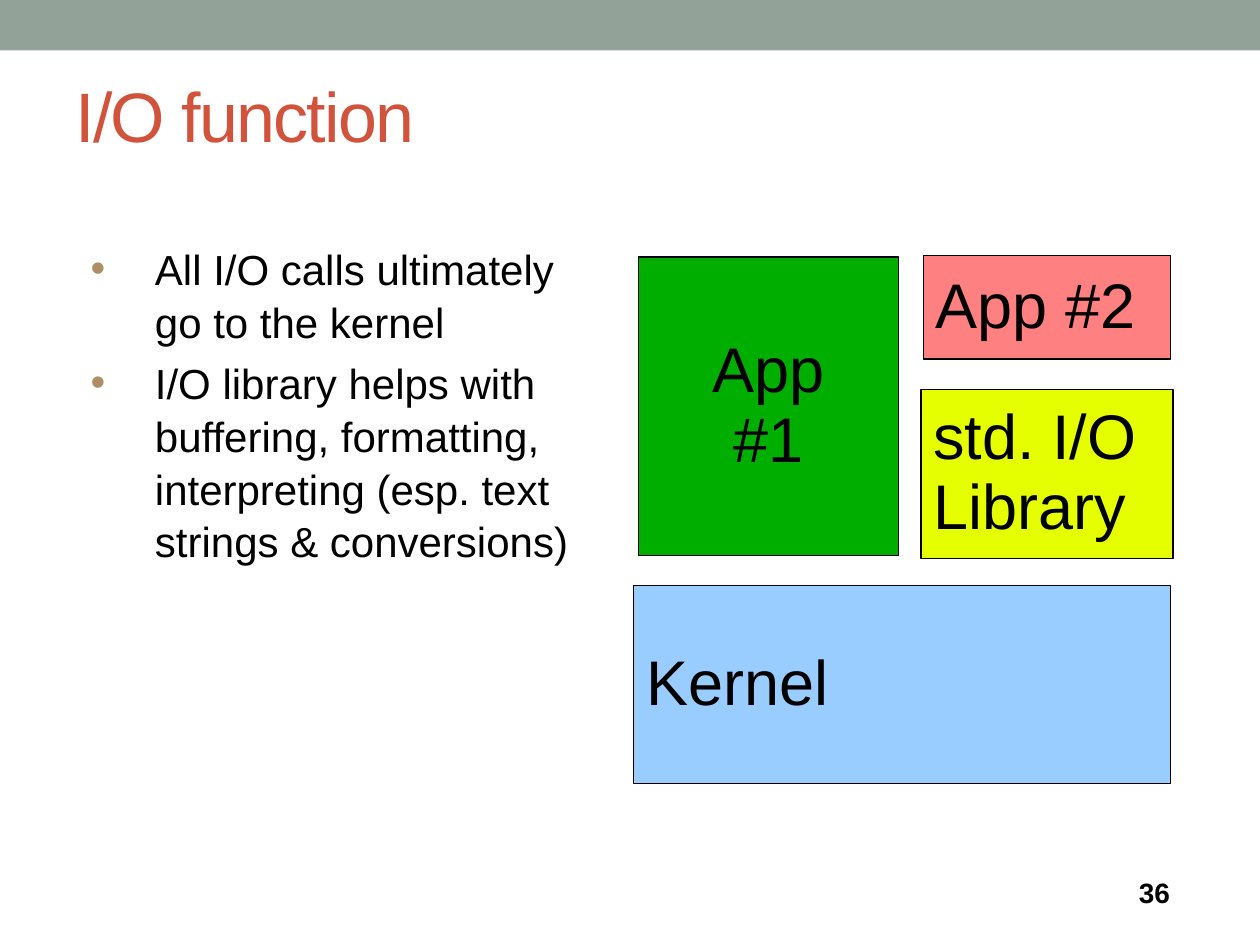
import pptx
import pptx.dml.color
import pptx.enum.shapes
import pptx.enum.text
import pptx.oxml
import pptx.oxml.ns
import pptx.util
from pptx.util import Inches

ALIGN = pptx.enum.text.PP_ALIGN
ANCHOR = pptx.enum.text.MSO_ANCHOR
SHAPE = pptx.enum.shapes.MSO_SHAPE


def tint(color, code):
    color.rgb = pptx.dml.color.RGBColor.from_string(code)


def place(shape, *area):
    shape.left, shape.top, shape.width, shape.height = map(Inches, area)


def mark(para, code, indent):
    props = para._p.get_or_add_pPr()
    props.set("marL", str(Inches(indent)))
    props.set("indent", str(-Inches(indent)))
    space = pptx.oxml.ns.nsdecls("a")
    for xml in (
        f'<a:buClr {space}><a:srgbClr val="{code}"/></a:buClr>',
        f'<a:buChar {space} char="•"/>',
    ):
        props.append(pptx.oxml.parse_xml(xml))


def write(shape, *lines, size, color="000000", bold=False, align=ALIGN.LEFT,
          anchor=ANCHOR.MIDDLE, wrap=True, pitch=1.0, gap=0, track=0, bullet=None):
    frame = shape.text_frame
    frame.text = "\n".join(lines)
    frame.auto_size = pptx.enum.text.MSO_AUTO_SIZE.NONE
    frame.word_wrap = wrap
    frame.vertical_anchor = anchor
    for index, para in enumerate(frame.paragraphs):
        if bullet:
            mark(para, bullet, 0.51)
        para.alignment = align
        para.line_spacing = pitch
        para.space_before = pptx.util.Pt(gap if index else 0)
        for run in para.runs:
            font = run.font
            font.name = "Arial"
            font.size = pptx.util.Pt(size)
            font.bold = bold
            tint(font.color, color)
            if track:
                run._r.get_or_add_rPr().set("spc", str(track * 100))


def block(slide, kind, area, fill, edge=None):
    shape = slide.shapes.add_shape(kind, *map(Inches, area))
    shape.shadow.inherit = False
    shape.fill.solid()
    tint(shape.fill.fore_color, fill)
    if edge:
        tint(shape.line.color, edge)
        shape.line.width = pptx.util.Pt(0.75)
    else:
        shape.line.fill.background()
    return shape


def layer(slide, area, fill, *lines, align=ALIGN.LEFT):
    shape = block(slide, SHAPE.ROUNDED_RECTANGLE, area, fill, "000000")
    shape.adjustments[0] = 0
    write(shape, *lines, size=36, align=align, wrap=False, pitch=0.93)


def main():
    deck = pptx.Presentation()
    deck.slide_width, deck.slide_height = Inches(10), Inches(7.5)
    slide = deck.slides.add_slide(deck.slide_layouts[1])
    block(slide, SHAPE.RECTANGLE, (0, 0, 10, 0.4), "93A299")

    title, body = slide.placeholders
    place(title, 0.5, 0.44, 9, 0.94)
    write(title, "I/O function", size=40, color="D2533C", track=-1)
    place(body, 0.62, 1.86, 4.3, 4.7)
    write(body, "All I/O calls ultimately go to the kernel",
          "I/O library helps with buffering, formatting, interpreting "
          "(esp. text strings & conversions)",
          size=24, anchor=ANCHOR.TOP, pitch=1.05, gap=4.8, bullet="AD8F67")

    layer(slide, (5.03, 4.65, 4.26, 1.57), "99CCFF", "Kernel")
    layer(slide, (7.31, 3.09, 2, 1.34), "E6FF00", "std. I/O", "Library")
    layer(slide, (5.07, 2.04, 2.06, 2.37), "00AE00", "App", "#1", align=ALIGN.CENTER)
    layer(slide, (7.33, 2.03, 1.96, 0.82), "FF8080", "App #2")

    number = slide.shapes.add_textbox(*map(Inches, (8.94, 6.9, 0.71, 0.36)))
    write(number, "36", size=16, bold=True)
    deck.save("out.pptx")


if __name__ == "__main__":
    main()
